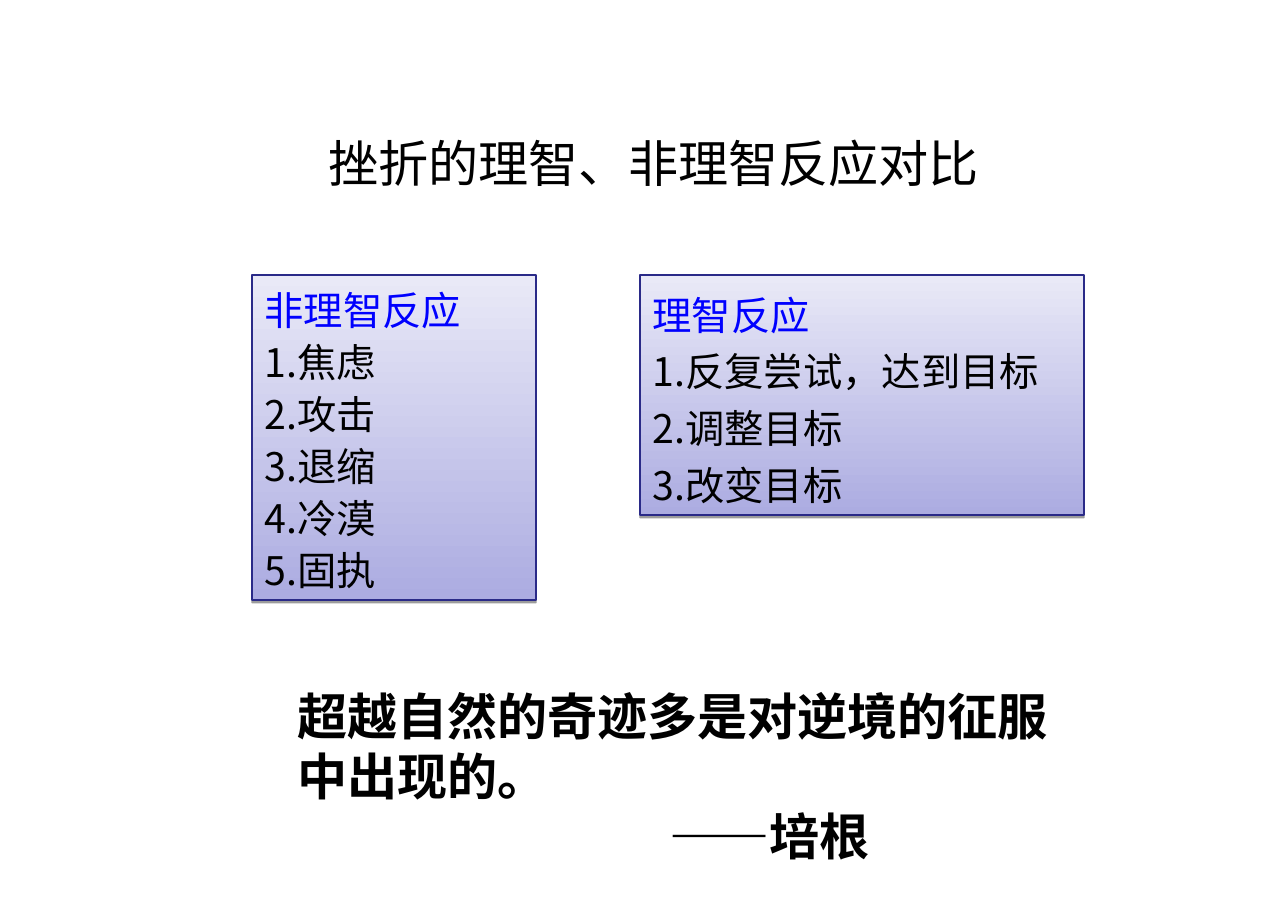
from lxml import etree
from pptx import Presentation
from pptx.dml.color import RGBColor
from pptx.enum.shapes import MSO_SHAPE
from pptx.enum.text import MSO_ANCHOR, PP_ALIGN
from pptx.oxml import parse_xml
from pptx.oxml.ns import qn
from pptx.util import Emu, Pt

RECTANGLE = MSO_SHAPE.RECTANGLE
TOP = MSO_ANCHOR.TOP
LEFT, CENTER = PP_ALIGN.LEFT, PP_ALIGN.CENTER

FONT = "Noto Sans CJK SC"
BLACK, BLUE = "000000", "0000FF"
PANEL_STOPS = ("ACACE1", "E9E9F7")
PANEL_LINE = "2A2A88"
EMU_PER_PX = 914400 / 128.8
SLIDE_SIZE = (1288, 913)
PANEL_TOP = 275

TITLE = {"at": (316, 126, 737, 73), "text": "挫折的理智、非理智反应对比"}
QUOTE = {
    "at": (285, 679, 800, 193),
    "text": "超越自然的奇迹多是对逆境的征服中出现的。",
    "author": "——培根",
    "author_indent": 170,
}
PANELS = [
    {"left": 252, "size": (284, 325), "spacing": 1.1, "heading": "非理智反应",
     "items": ["焦虑", "攻击", "退缩", "冷漠", "固执"]},
    {"left": 640, "size": (444, 240), "spacing": 1.2, "heading": "理智反应",
     "items": ["反复尝试，达到目标", "调整目标", "改变目标"]},
]
SHADOW = (
    '<a:effectLst xmlns:a="http://schemas.openxmlformats.org/drawingml/2006/main">'
    '<a:outerShdw blurRad="0" dist="20000" dir="5400000" rotWithShape="0">'
    '<a:srgbClr val="000000"><a:alpha val="38000"/></a:srgbClr>'
    "</a:outerShdw></a:effectLst>"
)


def px(value):
    return Emu(round(value * EMU_PER_PX))


def color(value):
    return RGBColor.from_string(value)


def write(box, lines, size, bold=False, spacing=None):
    frame = box.text_frame
    for name, value in {"word_wrap": True, "vertical_anchor": TOP}.items():
        setattr(frame, name, value)
    for index, (text, text_color) in enumerate(lines):
        para = frame.add_paragraph() if index else frame.paragraphs[0]
        for name, value in {"alignment": LEFT, "line_spacing": spacing}.items():
            setattr(para, name, value)
        span = para.add_run()
        span.text = text
        for name, value in {"name": FONT, "size": Pt(size), "bold": bold}.items():
            setattr(span.font, name, value)
        span.font.color.rgb = color(text_color)
        east_asian = etree.SubElement(span.font._element, qn("a:ea"))
        east_asian.set("typeface", FONT)
    return frame.paragraphs


def add_text(page, at, lines, **formats):
    box = page.shapes.add_textbox(*map(px, at))
    return write(box, lines, **formats)


def add_panel(page, panel):
    at = (panel["left"], PANEL_TOP, *panel["size"])
    box = page.shapes.add_shape(RECTANGLE, *map(px, at))
    box.fill.gradient()
    box.fill.gradient_angle = 90
    for stop, position, value in zip(box.fill.gradient_stops, (0, 1), PANEL_STOPS):
        stop.position = position
        stop.color.rgb = color(value)
    box.line.color.rgb = color(PANEL_LINE)
    box.line.width = Pt(0.75)
    box._element.spPr.append(parse_xml(SHADOW))
    lines = [(panel["heading"], BLUE)]
    lines += [(f"{number}.{item}", BLACK) for number, item in enumerate(panel["items"], 1)]
    write(box, lines, size=22, spacing=panel["spacing"])


def main():
    """Build the slide comparing rational and irrational reactions to setbacks."""
    deck = Presentation()
    deck.slide_width, deck.slide_height = map(px, SLIDE_SIZE)
    page = deck.slides.add_slide(deck.slide_layouts[6])
    add_text(page, TITLE["at"], [(TITLE["text"], BLACK)], size=28)
    for panel in PANELS:
        add_panel(page, panel)
    lines = [(QUOTE[key], BLACK) for key in ("text", "author")]
    author = add_text(page, QUOTE["at"], lines, size=28, bold=True)[-1]
    author.alignment = CENTER
    author._element.get_or_add_pPr().set("marL", str(px(QUOTE["author_indent"])))
    deck.save("out.pptx")


if __name__ == "__main__":
    main()
